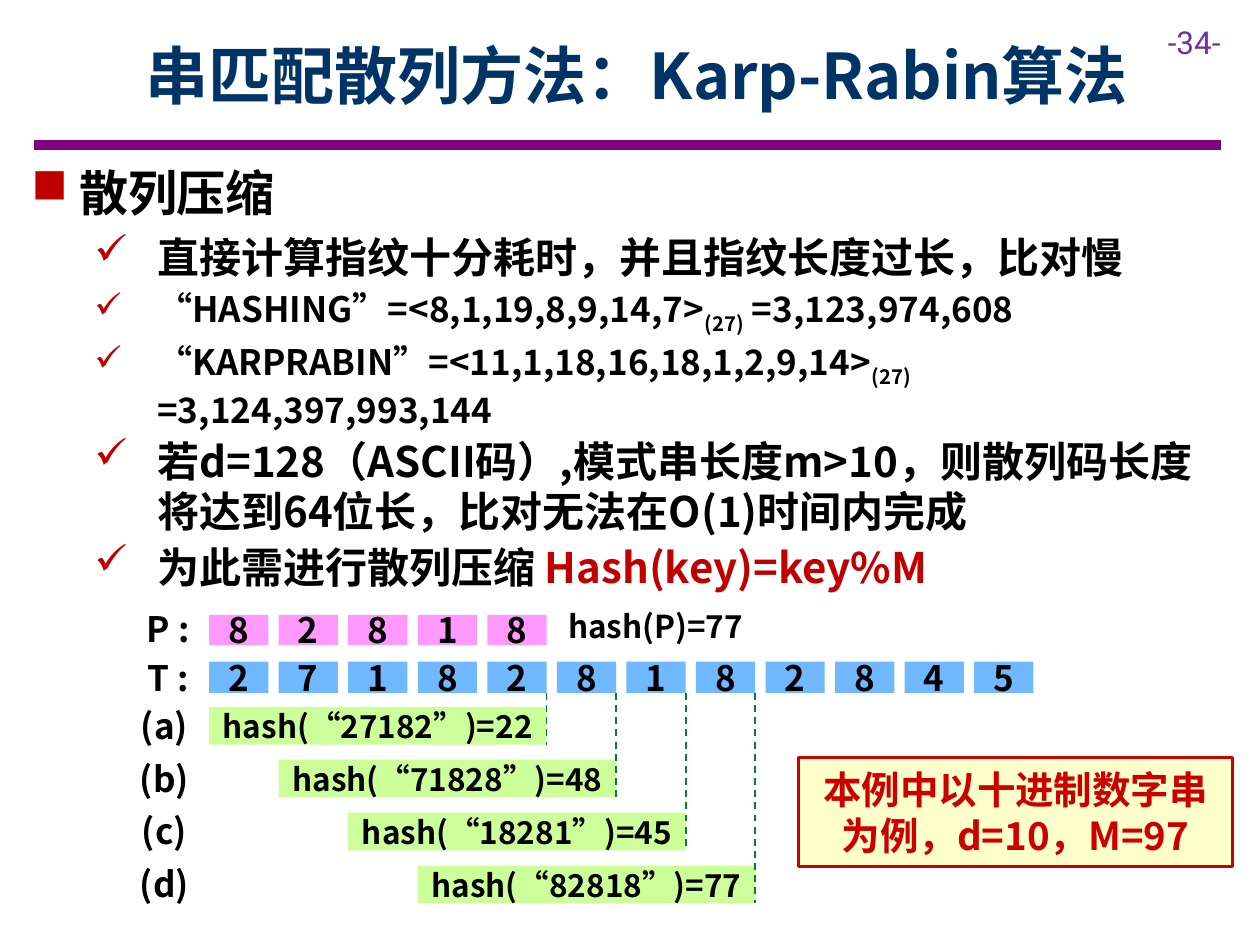
from lxml.etree import SubElement
from pptx import Presentation
from pptx.dml.color import RGBColor
from pptx.enum.dml import MSO_LINE
from pptx.enum.lang import MSO_LANGUAGE_ID
from pptx.enum.shapes import MSO_CONNECTOR, MSO_SHAPE
from pptx.enum.text import MSO_ANCHOR, PP_ALIGN
from pptx.oxml.ns import qn
from pptx.util import Inches, Pt

BLACK = RGBColor(0x00, 0x00, 0x00)
NAVY = RGBColor(0x00, 0x33, 0x66)
PURPLE = RGBColor(0x80, 0x00, 0x80)
VIOLET = RGBColor(0x70, 0x30, 0xA0)
RED = RGBColor(0xC0, 0x00, 0x00)
BRIGHT_RED = RGBColor(0xCC, 0x00, 0x00)
CREAM = RGBColor(0xFF, 0xFF, 0xCC)
BLUE = RGBColor(0x70, 0xB8, 0xFF)
PINK = RGBColor(0xFF, 0x99, 0xFF)
LIME = RGBColor(0xCC, 0xFF, 0x99)
GREEN = RGBColor(0x00, 0x82, 0x3B)
FONT = "Noto Sans CJK SC"

PITCH = 0.552
CELL_WIDTH = 0.47
WINDOW_WIDTH = 4 * PITCH + CELL_WIDTH

BODY = [
    (1, 28, [("散列压缩", {})]),
    (2, 24, [("直接计算指纹十分耗时，并且指纹长度过长，比对慢", {})]),
    (2, 20, [("“HASHING”=<8,1,19,8,9,14,7>", {}), ("(27)", {"baseline": -25}),
             (" =3,123,974,608", {})]),
    (2, 20, [("“KARPRABIN”=<11,1,18,16,18,1,2,9,14>", {}),
             ("(27)", {"baseline": -25}), (" =3,124,397,993,144", {})]),
    (2, 24, [("若d=128（ASCII码）,模式串长度m>10，则散列码"
              "长度将达到64位长，比对无法在O(1)时间内完成", {})]),
    (2, 24, [("为此需进行散列压缩 ", {}), ("Hash(key)=key%M", {"color": RED})]),
]
# Level: indent, space after, bullet character
LEVELS = {1: (0.38, 6, "■"), 2: (0.5, 3, "✓")}
WINDOWS = [("(a)", "27182", 22), ("(b)", "71828", 48),
           ("(c)", "18281", 45), ("(d)", "82818", 77)]


def add_run(paragraph, text, size=20, color=BLACK, bold=True, font=FONT, baseline=0):
    """Add one formatted run to a paragraph."""
    run = paragraph.add_run()
    run.text = text
    run.font.size, run.font.bold, run.font.name = Pt(size), bold, font
    run.font.color.rgb = color
    run.font.language_id = MSO_LANGUAGE_ID.SIMPLIFIED_CHINESE
    properties = run.font._element
    SubElement(properties, qn("a:ea")).set("typeface", font)
    if baseline:
        properties.set("baseline", str(baseline * 1000))


def write_text(shape, text, align=PP_ALIGN.CENTER, anchor=MSO_ANCHOR.MIDDLE,
               margin=0.0, wrap=True, **run_format):
    """Write a single paragraph into a shape."""
    frame = shape.text_frame
    frame.word_wrap, frame.vertical_anchor = wrap, anchor
    frame.margin_left = frame.margin_right = Inches(margin)
    frame.margin_top = frame.margin_bottom = Inches(0.05)
    frame.paragraphs[0].alignment = align
    add_run(frame.paragraphs[0], text, **run_format)


def add_label(slide, left, top, width, height, text, **text_format):
    """Add a text box."""
    box = slide.shapes.add_textbox(*map(Inches, (left, top, width, height)))
    write_text(box, text, **text_format)


def add_block(slide, left, top, width, height, text, fill, border=None, **text_format):
    """Add a filled rectangle with text."""
    block = slide.shapes.add_shape(
        MSO_SHAPE.RECTANGLE, *map(Inches, (left, top, width, height)))
    block.shadow.inherit = False
    block.fill.solid()
    block.fill.fore_color.rgb = fill
    if border is None:
        block.line.fill.background()
    else:
        block.line.color.rgb, block.line.width = border, Pt(1.5)
    write_text(block, text, **text_format)


def add_line(slide, start, end, color, width, dash=None):
    """Add a straight line between two points."""
    line = slide.shapes.add_connector(
        MSO_CONNECTOR.STRAIGHT, *map(Inches, (*start, *end)))
    line.line.color.rgb, line.line.width = color, Pt(width)
    if dash is not None:
        line.line.dash_style = dash
    SubElement(line._element.spPr, qn("a:effectLst"))


def add_header(slide, left, top, width):
    """Format the title and add the rule and the page number."""
    title = slide.shapes.title
    title.left, title.top = Inches(left + 0.63), Inches(top)
    title.width, title.height = Inches(8.31), Inches(1)
    write_text(title, "串匹配散列方法：Karp-Rabin算法", margin=0.1, size=36, color=NAVY)
    add_line(slide, (left, top + 1.06), (left + width, top + 1.06), PURPLE, 6)
    add_label(slide, left + 8.9, top + 0.04, 0.83, 0.4, "-34-", margin=0.1,
              align=PP_ALIGN.LEFT, anchor=MSO_ANCHOR.TOP,
              size=18, color=VIOLET, bold=False, font="Roboto")


def add_body(slide, left, top, width, height):
    """Add the two-level bullet list."""
    box = slide.shapes.add_textbox(*map(Inches, (left, top, width, height)))
    frame = box.text_frame
    frame.word_wrap = True
    for index, (level, size, runs) in enumerate(BODY):
        paragraph = frame.add_paragraph() if index else frame.paragraphs[0]
        indent, space, bullet = LEVELS[level]
        paragraph.level = level - 1
        paragraph.space_after = Pt(space)
        properties = paragraph._p.get_or_add_pPr()
        properties.set("marL", str(Inches(indent * level)))
        properties.set("indent", str(-Inches(indent)))
        bullet_color = SubElement(properties, qn("a:buClr"))
        SubElement(bullet_color, qn("a:srgbClr")).set("val", str(RED))
        SubElement(properties, qn("a:buChar")).set("char", bullet)
        for text, run_format in runs:
            add_run(paragraph, text, size=size, **run_format)


def add_digits(slide, left, top, height, digits, fill):
    """Add a row of digit cells at an equal pitch."""
    for index, digit in enumerate(digits):
        add_block(slide, left + index * PITCH, top, CELL_WIDTH, height, digit, fill)


def add_matching(slide, left, top):
    """Add the pattern, the text and the sliding hash windows."""
    cells = left + 0.59
    add_label(slide, left + 0.03, top + 0.02, 0.47, 0.39, "P :")
    add_digits(slide, cells, top + 0.11, 0.24, "82818", PINK)
    add_label(slide, left + 3.34, top, 1.71, 0.4, "hash(P)=77", margin=0.1,
              align=PP_ALIGN.LEFT, anchor=MSO_ANCHOR.TOP, wrap=False, size=18)
    add_label(slide, left + 0.03, top + 0.36, 0.47, 0.49, "T :")
    add_digits(slide, cells, top + 0.48, 0.25, "271828182845", BLUE)
    for index, (label, window, value) in enumerate(WINDOWS):
        row = top + 0.84 + index * 0.42
        start = cells + index * PITCH
        end = start + WINDOW_WIDTH
        add_label(slide, left, row - 0.1, 0.47, 0.49, label)
        add_block(slide, start, row, WINDOW_WIDTH, 0.3,
                  f"hash(“{window}”)={value}", LIME, size=18)
        add_line(slide, (end, top + 0.73), (end, row + 0.3), GREEN, 1, MSO_LINE.DASH)


def build():
    """Build and save the slide."""
    presentation = Presentation()
    presentation.slide_width, presentation.slide_height = Inches(10), Inches(7.5)
    slide = presentation.slides.add_slide(presentation.slide_layouts[5])
    add_header(slide, 0.27, 0.09, 9.42)
    add_body(slide, 0.15, 1.24, 9.58, 3.45)
    add_matching(slide, 1.07, 4.77)
    add_block(slide, 6.34, 6.01, 3.44, 0.87, "本例中以十进制数字串为例，d=10，M=97",
              CREAM, border=BRIGHT_RED, margin=0.1, size=22, color=BRIGHT_RED)
    presentation.save("out.pptx")


build()
